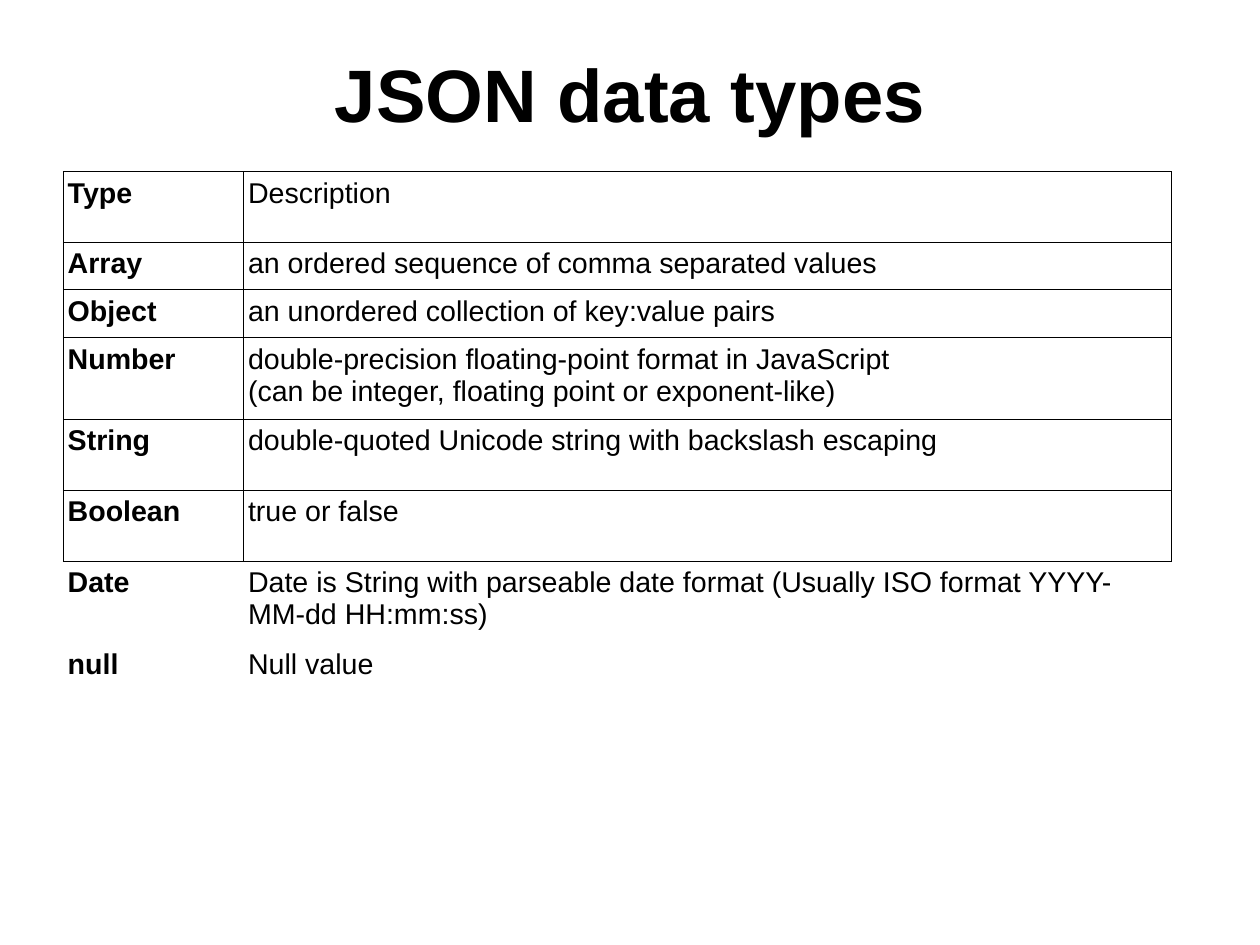
from dataclasses import dataclass

from lxml import etree
from pptx import Presentation
from pptx.dml.color import RGBColor
from pptx.enum.text import MSO_ANCHOR, PP_ALIGN
from pptx.oxml.ns import qn
from pptx.util import Pt

CENTER, LEFT = PP_ALIGN.CENTER, PP_ALIGN.LEFT
MIDDLE, TOP = MSO_ANCHOR.MIDDLE, MSO_ANCHOR.TOP

TITLE = "JSON data types"
# Type, description lines, row height in points, whether the row is ruled
DATA_TYPES = [
    ("Type", ["Description"], 44.6, True),
    ("Array", ["an ordered sequence of comma separated values"], 30, True),
    ("Object", ["an unordered collection of key:value pairs"], 30, True),
    ("Number", ["double-precision floating-point format in JavaScript",
                "(can be integer, floating point or exponent-like)"], 51.6, True),
    ("String", ["double-quoted Unicode string with backslash escaping"], 44.6, True),
    ("Boolean", ["true or false"], 44.6, True),
    ("Date", ["Date is String with parseable date format "
              "(Usually ISO format YYYY-MM-dd HH:mm:ss)"], 51.6, False),
    ("null", ["Null value"], 44.6, False),
]

SLIDE_SIZE = (793.7, 595.28)
TITLE_BOX = (39.68, 23.74, 714.3, 69.84)
TABLE_LEFT, TABLE_TOP = 39.8, 108
COLUMN_WIDTHS = (113.6, 584.4)
CELL_MARGIN_X, CELL_MARGIN_Y = 2.88, 3.6
PLAIN_TABLE_STYLE = "{2D5ABB26-0587-4C30-8999-92F81FD0307C}"


@dataclass(frozen=True)
class Theme:
    font: str = "Arial"
    ink: str = "000000"
    background: str = "FFFFFF"
    title_size: float = 46.8
    body_size: float = 18
    rule_width: float = 0.57


THEME = Theme()


def write_lines(frame, lines, size, bold, alignment):
    frame.word_wrap = True
    for index, line in enumerate(lines):
        paragraph = frame.add_paragraph() if index else frame.paragraphs[0]
        paragraph.alignment = alignment
        run = paragraph.add_run()
        run.text = line
        run.font.name = THEME.font
        run.font.size = Pt(size)
        run.font.bold = bold
        run.font.color.rgb = RGBColor.from_string(THEME.ink)


def rule_cell(cell):
    """Draw a thin line on all four sides of a table cell."""
    properties = cell._tc.get_or_add_tcPr()
    for position, side in enumerate(("a:lnL", "a:lnR", "a:lnT", "a:lnB")):
        line = etree.Element(qn(side), w=str(Pt(THEME.rule_width)))
        fill = etree.SubElement(line, qn("a:solidFill"))
        etree.SubElement(fill, qn("a:srgbClr"), val=THEME.ink)
        properties.insert(position, line)


def add_title(slide):
    box = slide.shapes.add_textbox(*map(Pt, TITLE_BOX))
    frame = box.text_frame
    frame.margin_left = frame.margin_right = 0
    frame.margin_top = frame.margin_bottom = 0
    frame.vertical_anchor = MIDDLE
    write_lines(frame, [TITLE], THEME.title_size, True, CENTER)


def fill_cell(cell, lines, bold, ruled):
    cell.margin_left = cell.margin_right = Pt(CELL_MARGIN_X)
    cell.margin_top = cell.margin_bottom = Pt(CELL_MARGIN_Y)
    cell.vertical_anchor = TOP
    cell.fill.background()
    write_lines(cell.text_frame, lines, THEME.body_size, bold, LEFT)
    if ruled:
        rule_cell(cell)


def add_type_table(slide):
    total_height = sum(height for _, _, height, _ in DATA_TYPES)
    table = slide.shapes.add_table(
        len(DATA_TYPES), len(COLUMN_WIDTHS), Pt(TABLE_LEFT), Pt(TABLE_TOP),
        Pt(sum(COLUMN_WIDTHS)), Pt(total_height)).table
    table.first_row = table.horz_banding = False
    table._tbl.tblPr.find(qn("a:tableStyleId")).text = PLAIN_TABLE_STYLE
    for column, width in zip(table.columns, COLUMN_WIDTHS):
        column.width = Pt(width)
    for row, (name, description, height, ruled) in zip(table.rows, DATA_TYPES):
        row.height = Pt(height)
        name_cell, description_cell = row.cells
        fill_cell(name_cell, [name], True, ruled)
        fill_cell(description_cell, description, False, ruled)


def main():
    presentation = Presentation()
    presentation.slide_width, presentation.slide_height = map(Pt, SLIDE_SIZE)
    slide = presentation.slides.add_slide(presentation.slide_layouts[6])
    slide.background.fill.solid()
    slide.background.fill.fore_color.rgb = RGBColor.from_string(THEME.background)
    add_title(slide)
    add_type_table(slide)
    presentation.save("out.pptx")


if __name__ == "__main__":
    main()
